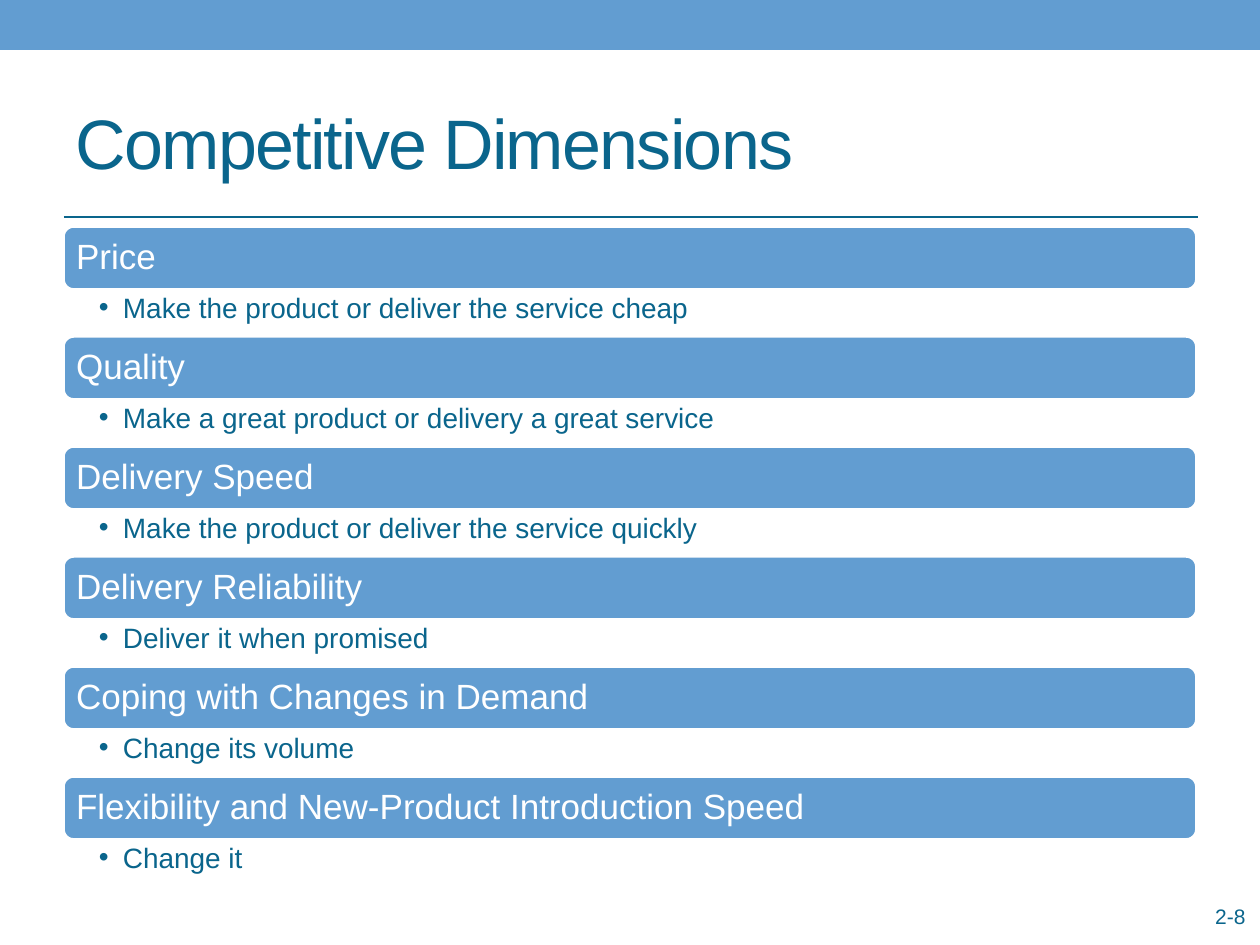
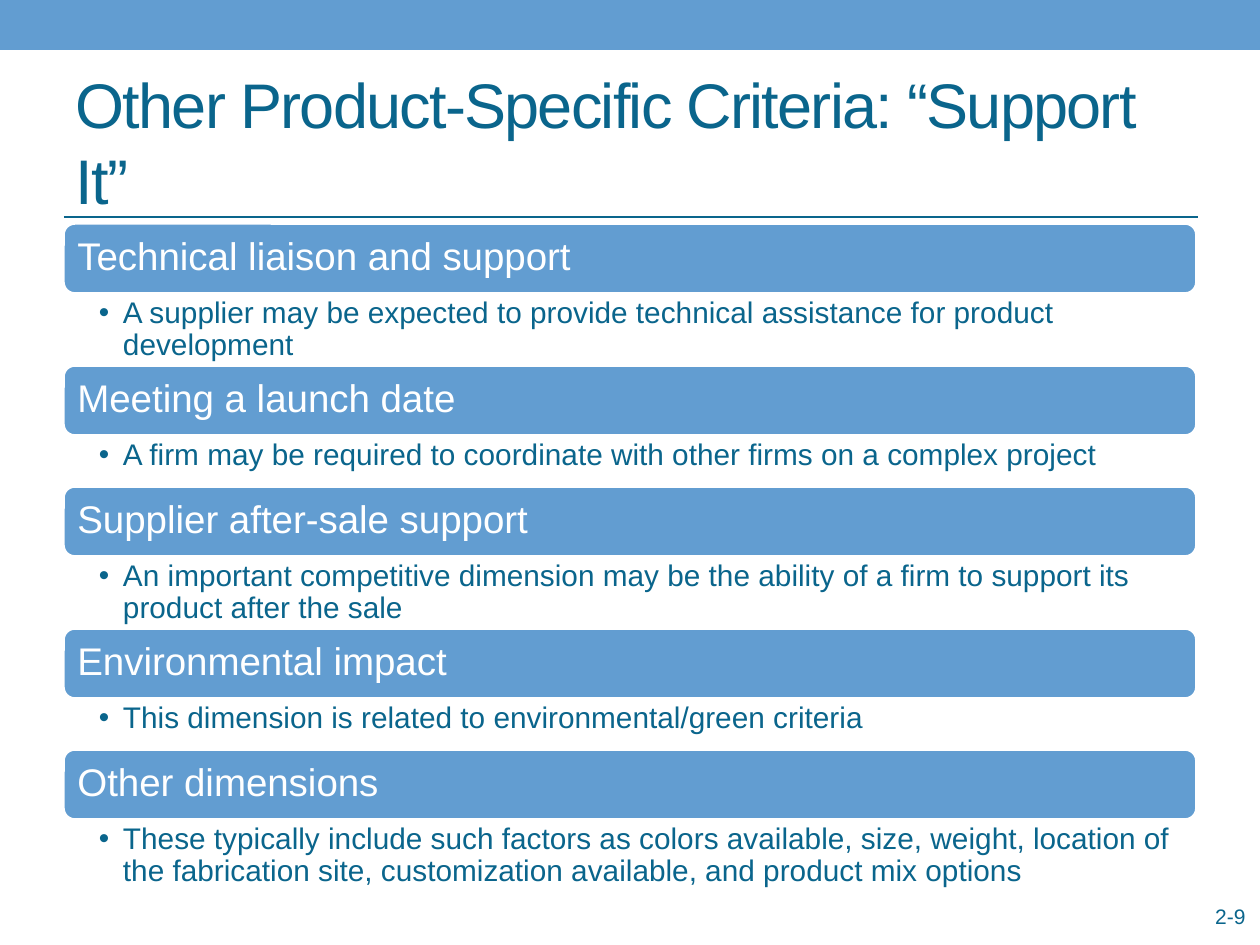
from dataclasses import dataclass

from lxml.etree import SubElement
from pptx import Presentation
from pptx.dml.color import RGBColor
from pptx.enum.shapes import MSO_CONNECTOR, MSO_SHAPE
from pptx.enum.text import MSO_ANCHOR, MSO_AUTO_SIZE, PP_ALIGN
from pptx.oxml.ns import qn
from pptx.slide import Slide
from pptx.text.text import TextFrame, _Paragraph as Paragraph
from pptx.util import Emu, Inches, Pt

BLUE = RGBColor(0x62, 0x9D, 0xD1)
TEAL = RGBColor(0x0A, 0x65, 0x8C)
WHITE = RGBColor(0xFF, 0xFF, 0xFF)
FONT = "Arial"

PX_PER_INCH = 126
SLIDE_WIDTH = 1260
LEFT = 63
CONTENT_WIDTH = 1134
RULE_Y = 217
BULLET_INDENT = 24
TITLE_ONLY = 5


@dataclass(frozen=True)
class Criterion:
    heading: str
    detail: str
    lines: int = 1


@dataclass(frozen=True)
class Style:
    top: int
    bar_height: int
    detail_heights: tuple[int, int]
    heading_size: int
    detail_size: int
    heading_inset: int
    detail_right: int


@dataclass(frozen=True)
class Page:
    title: str
    title_size: int
    number: str
    style: Style
    criteria: tuple[Criterion, ...]


PAGES = (
    Page(
        "Competitive Dimensions", 40, "2-8",
        Style(226, 64, (46, 46), 20, 16, 10, 20),
        (
            Criterion("Price", "Make the product or deliver the service cheap"),
            Criterion("Quality", "Make a great product or delivery a great service"),
            Criterion("Delivery Speed", "Make the product or deliver the service quickly"),
            Criterion("Delivery Reliability", "Deliver it when promised"),
            Criterion("Coping with Changes in Demand", "Change its volume"),
            Criterion("Flexibility and New-Product Introduction Speed", "Change it"),
        ),
    ),
    Page(
        "Other Product-Specific Criteria: “Support It”", 36, "2-9",
        Style(223, 71, (50, 71), 22, 17, 11, 21),
        (
            Criterion("Technical liaison and support",
                      "A supplier may be expected to provide technical assistance "
                      "for product development", 2),
            Criterion("Meeting a launch date",
                      "A firm may be required to coordinate with other firms "
                      "on a complex project"),
            Criterion("Supplier after-sale support",
                      "An important competitive dimension may be the ability of a firm "
                      "to support its product after the sale", 2),
            Criterion("Environmental impact",
                      "This dimension is related to environmental/green criteria"),
            Criterion("Other dimensions",
                      "These typically include such factors as colors available, size, "
                      "weight, location of the fabrication site, customization available, "
                      "and product mix options", 2),
        ),
    ),
)


def px(length: int) -> Emu:
    return Emu(round(length * Inches(1) / PX_PER_INCH))


def box(left: int, top: int, width: int, height: int) -> tuple[Emu, ...]:
    return tuple(map(px, (left, top, width, height)))


def set_insets(frame: TextFrame, left: int, top: int, right: int, bottom: int) -> None:
    frame.margin_left, frame.margin_top = px(left), px(top)
    frame.margin_right, frame.margin_bottom = px(right), px(bottom)


def write(frame: TextFrame, text: str, size: int, color: RGBColor,
          align: PP_ALIGN = PP_ALIGN.LEFT, bulleted: bool = False) -> Paragraph:
    frame.word_wrap = True
    frame.auto_size = MSO_AUTO_SIZE.NONE
    paragraph = frame.paragraphs[0]
    paragraph.text = text
    paragraph.alignment = align
    if bulleted:
        add_bullet(paragraph)
    font = paragraph.font
    font.name, font.size, font.color.rgb = FONT, Pt(size), color
    return paragraph


def add_bullet(paragraph: Paragraph) -> None:
    properties = paragraph._p.get_or_add_pPr()
    properties.set("marL", str(px(BULLET_INDENT)))
    properties.set("indent", str(-px(BULLET_INDENT)))
    SubElement(properties, qn("a:buFont")).set("typeface", FONT)
    SubElement(properties, qn("a:buChar")).set("char", "•")


def draw_frame(slide: Slide, page: Page) -> None:
    band = slide.shapes.add_shape(MSO_SHAPE.RECTANGLE, *box(0, 0, SLIDE_WIDTH, 50))
    band.shadow.inherit = False
    band.fill.solid()
    band.fill.fore_color.rgb = BLUE
    band.line.fill.background()

    rule = slide.shapes.add_connector(
        MSO_CONNECTOR.STRAIGHT, *box(64, RULE_Y, 1198, RULE_Y))
    rule.line.color.rgb = TEAL
    rule.line.width = Pt(1.5)
    SubElement(rule._element.spPr, qn("a:effectLst"))

    title = slide.shapes.title
    title.left, title.top, title.width, title.height = box(LEFT, 73, CONTENT_WIDTH, 136)
    title.text_frame.vertical_anchor = MSO_ANCHOR.MIDDLE
    heading = write(title.text_frame, page.title, page.title_size, TEAL)
    heading.runs[0]._r.get_or_add_rPr().set("spc", "-100")

    number = slide.shapes.add_textbox(*box(1111, 897, 147, 45))
    write(number.text_frame, page.number, 12, TEAL, PP_ALIGN.RIGHT)


def draw_criterion(slide: Slide, criterion: Criterion, style: Style, top: int) -> int:
    bar = slide.shapes.add_shape(
        MSO_SHAPE.ROUNDED_RECTANGLE, *box(LEFT, top, CONTENT_WIDTH, style.bar_height))
    bar.shadow.inherit = False
    bar.fill.solid()
    bar.fill.fore_color.rgb = BLUE
    bar.line.color.rgb = WHITE
    bar.line.width = Pt(2.08)
    bar.text_frame.vertical_anchor = MSO_ANCHOR.MIDDLE
    set_insets(bar.text_frame, *[style.heading_inset] * 4)
    write(bar.text_frame, criterion.heading, style.heading_size, WHITE).line_spacing = 0.9

    detail_top = top + style.bar_height
    detail_height = style.detail_heights[criterion.lines - 1]
    detail = slide.shapes.add_textbox(
        *box(LEFT, detail_top, CONTENT_WIDTH, detail_height))
    set_insets(detail.text_frame, 36, 4, style.detail_right, 4)
    write(detail.text_frame, criterion.detail, style.detail_size, TEAL,
          bulleted=True).line_spacing = 0.9
    return detail_top + detail_height


def main() -> None:
    deck = Presentation()
    deck.slide_width, deck.slide_height = Inches(10), Inches(7.5)
    for page in PAGES:
        slide = deck.slides.add_slide(deck.slide_layouts[TITLE_ONLY])
        draw_frame(slide, page)
        top = page.style.top
        for criterion in page.criteria:
            top = draw_criterion(slide, criterion, page.style, top)
    deck.save("out.pptx")


if __name__ == "__main__":
    main()
